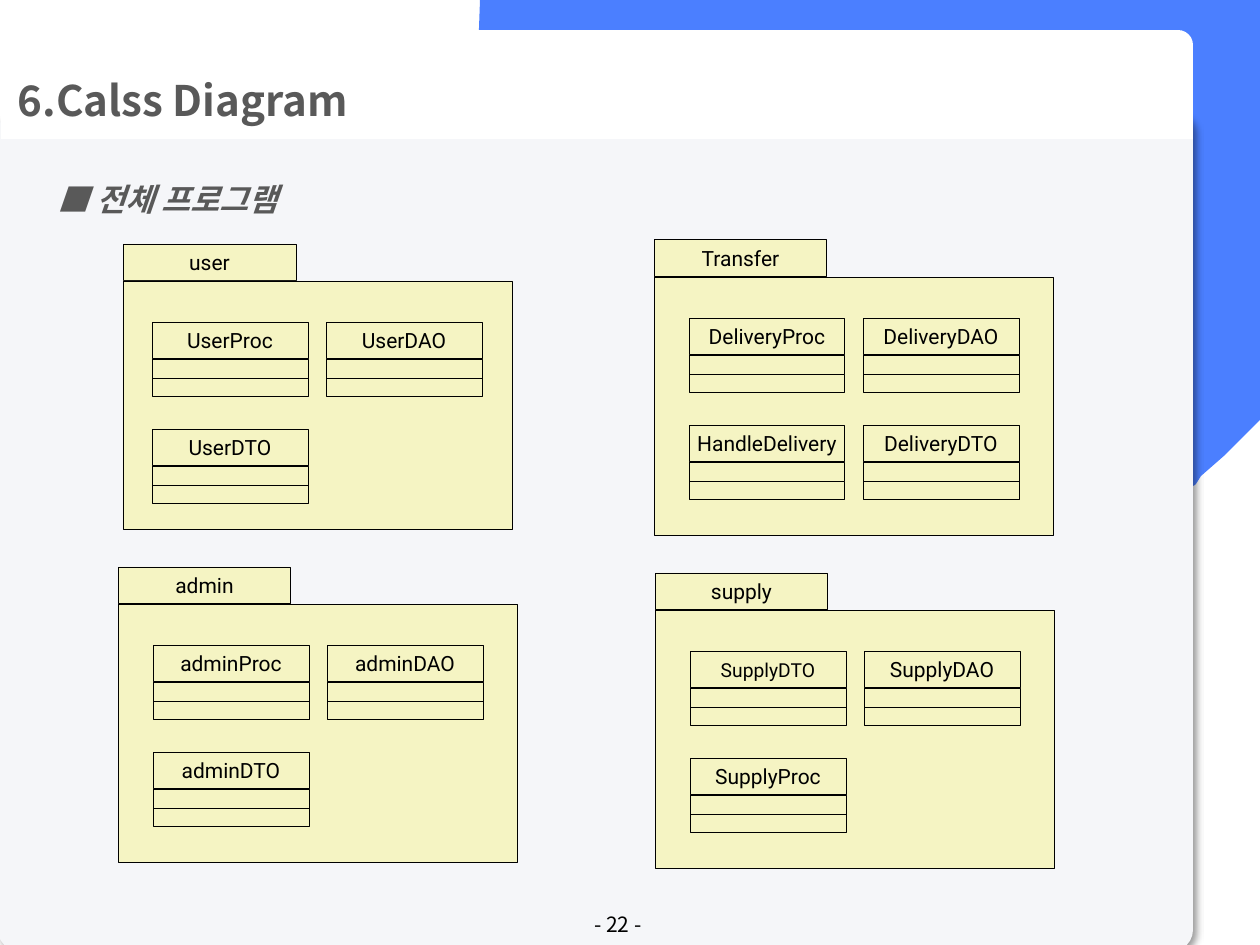
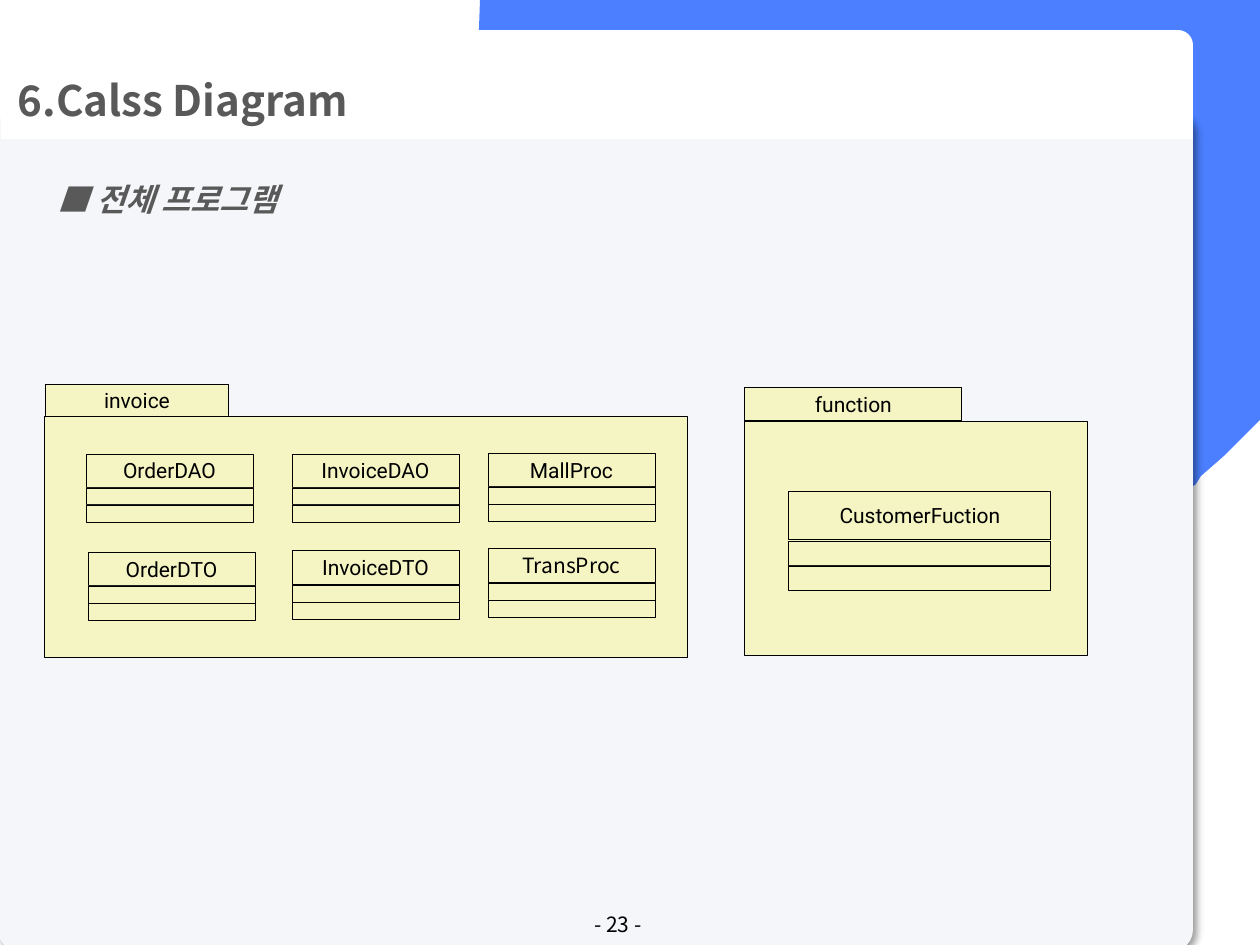
from lxml import etree
from pptx import Presentation
from pptx import util as u
from pptx.dml.color import RGBColor
from pptx.enum import shapes, text
from pptx.oxml import ns

PX = u.Inches(1) / 126
COLORS = {
    "accent": "4B7FFF",
    "panel": "F5F6F9",
    "band": "FFFFFF",
    "heading": "595959",
    "package": "F5F4C3",
    "ink": "000000",
}
SANS, UML, LATIN = "Noto Sans CJK KR", "Roboto", "Arial"
KIND = shapes.MSO_SHAPE
CENTER, LEFT = text.PP_ALIGN.CENTER, text.PP_ALIGN.LEFT
TAB_WIDTH, TAB_HEIGHT = 173, 37
SWEEP = [
    [(1260, 420)], [(1225, 455)], [(1201, 476)], [(1196, 484)],
    [(1189, 490), (1183, 497), (1177, 504)], [(810, 872)],
    [(709, 971), (552, 978), (445, 891)], [(425, 872)], [(406, 852)],
    [(319, 745), (325, 586), (425, 486)], [(615, 296)], [(572, 253)],
    [(509, 189), (479, 109), (479, 28)], [(480, 0)],
]


def emu(*lengths):
    """Turn px lengths into EMU."""
    return [round(length * PX) for length in lengths]


def rgb(name):
    """Look up a palette colour."""
    return RGBColor.from_string(COLORS[name])


def paint(shape, fill, outlined=False):
    """Give a shape a flat fill, with a thin outline if wanted."""
    shape.shadow.inherit = False
    shape.fill.solid()
    shape.fill.fore_color.rgb = rgb(fill)
    if outlined:
        shape.line.color.rgb = rgb("ink")
        shape.line.width = u.Pt(0.5)
    else:
        shape.line.fill.background()
    return shape


def write(shape, words, size, font, color="ink", align=CENTER, spacing=None,
          bold=None, italic=None):
    """Write one vertically centred paragraph into a shape."""
    frame = shape.text_frame
    frame.word_wrap = True
    frame.vertical_anchor = text.MSO_ANCHOR.MIDDLE
    paragraph = frame.paragraphs[0]
    paragraph.text = words
    paragraph.alignment = align
    if spacing:
        paragraph.line_spacing = spacing
    style = paragraph.font
    style.name, style.size, style.bold, style.italic = font, u.Pt(size), bold, italic
    style.color.rgb = rgb(color)


def bezier(start, first, second, end, steps=16):
    """List the points along a cubic curve."""
    points = []
    for step in range(1, steps + 1):
        t = step / steps
        weights = ((1 - t) ** 3, 3 * t * (1 - t) ** 2, 3 * t * t * (1 - t), t ** 3)
        corners = (start, first, second, end)
        points.append(tuple(sum(w * c[axis] for w, c in zip(weights, corners))
                            for axis in (0, 1)))
    return points


def draw_sweep(slide):
    """Draw the blue sweep behind the panel."""
    points = [(1260, 0)]
    for segment in SWEEP:
        points += segment if len(segment) == 1 else bezier(points[-1], *segment)
    builder = slide.shapes.build_freeform(*points[0], scale=PX)
    builder.add_line_segments(points[1:], close=True)
    paint(builder.convert_to_shape(), "accent")


def cast_shadow(shape):
    """Add a soft shadow to the lower right."""
    effects = shape._element.spPr.find(ns.qn("a:effectLst"))
    shadow = etree.SubElement(effects, ns.qn("a:outerShdw"), blurRad=str(u.Pt(4)),
                              dist=str(u.Pt(3)), dir=str(45 * 60000),
                              algn="tl", rotWithShape="0")
    tone = etree.SubElement(shadow, ns.qn("a:srgbClr"), val=COLORS["ink"])
    etree.SubElement(tone, ns.qn("a:alpha"), val="40000")


def draw_frame(slide, page):
    """Draw the backdrop, title band, subtitle and page number."""
    draw_sweep(slide)
    panel = slide.shapes.add_shape(KIND.ROUNDED_RECTANGLE, *emu(-2, 111, 1195, 840))
    panel.adjustments[0] = 0.025
    cast_shadow(paint(panel, "panel"))

    footer = slide.shapes.add_textbox(*emu(471, 908, 294, 33))
    write(footer, f"- {page} -", 12, SANS)

    band = slide.shapes.add_shape(KIND.ROUND_2_SAME_RECTANGLE, *emu(1, 30, 1192, 109))
    band.adjustments[0], band.adjustments[1] = 0.137, 0
    write(paint(band, "band"), "6.Calss Diagram", 24, SANS, "heading", LEFT, 1.5, True)

    subtitle = slide.shapes.add_textbox(*emu(45, 155, 271, 64))
    write(subtitle, "■ 전체 프로그램", 18, LATIN, "heading", LEFT, 1.5, True, True)
    subtitle.text_frame.word_wrap = False
    subtitle.text_frame.vertical_anchor = text.MSO_ANCHOR.TOP
    subtitle.text_frame.auto_size = text.MSO_AUTO_SIZE.SHAPE_TO_FIT_TEXT


def draw_cell(group, box, label=None, size=12, font=UML):
    """Draw one outlined box of a package, with its label if any."""
    cell = paint(group.shapes.add_shape(KIND.RECTANGLE, *emu(*box)), "package", True)
    if label:
        cell.text_frame.margin_left = cell.text_frame.margin_right = 0
        write(cell, label, size, font)


def draw_class(group, box, name, **style):
    """Draw a class: a name above two empty compartments."""
    left, top, width, height = box
    draw_cell(group, (left, top, width, 0.49 * height), name, **style)
    for part in (0.5, 0.75):
        draw_cell(group, (left, top + part * height, width, height / 4))


def draw_package(slide, name, box, tab, class_size, classes, styles=None):
    """Draw a tabbed package with classes placed from its top left corner."""
    left, top, width, height = box
    tab_width, tab_height = tab
    group = slide.shapes.add_group_shape()
    draw_cell(group, (left, top, tab_width, tab_height), name)
    draw_cell(group, (left, top + tab_height, width, height - tab_height))
    for label, (x, y) in classes.items():
        draw_class(group, (left + x, top + y, *class_size), label,
                   **(styles or {}).get(label, {}))


def grid(names, inset):
    """Place class names two to a row."""
    return {name: (inset + 174 * (i % 2), 78 + 107 * (i // 2))
            for i, name in enumerate(names)}


def draw_main_packages(slide):
    """Draw the four packages with a regular grid of classes."""
    packages = [
        ("user", (123, 244, 390, 286), 29, ["UserProc", "UserDAO", "UserDTO"]),
        ("admin", (118, 567, 400, 295), 35, ["adminProc", "adminDAO", "adminDTO"]),
        ("Transfer", (654, 240, 400, 295), 35,
         ["DeliveryProc", "DeliveryDAO", "HandleDelivery", "DeliveryDTO"]),
        ("supply", (655, 573, 400, 295), 35, ["SupplyDTO", "SupplyDAO", "SupplyProc"]),
    ]
    for name, box, inset, names in packages:
        draw_package(slide, name, box, (TAB_WIDTH, TAB_HEIGHT), (156, 75),
                     grid(names, inset), {"SupplyDTO": {"size": 11}})


def draw_order_packages(slide):
    """Draw the invoice and function packages."""
    draw_package(slide, "invoice", (45, 384, 643, 274), (184, 32), (167, 68), {
        "OrderDAO": (41, 70), "InvoiceDAO": (247, 70), "MallProc": (443, 69),
        "OrderDTO": (43, 168), "InvoiceDTO": (247, 167), "TransProc": (443, 165),
    }, {"TransProc": {"font": SANS}})
    draw_package(slide, "function", (745, 387, 343, 269), (217, 34), (262, 100),
                 {"CustomerFuction": (44, 104)})


def main():
    """Build and save the deck."""
    deck = Presentation()
    deck.slide_width, deck.slide_height = emu(1260, 945)
    for page, draw_content in enumerate((draw_main_packages, draw_order_packages), 22):
        slide = deck.slides.add_slide(deck.slide_layouts[6])
        draw_frame(slide, page)
        draw_content(slide)
    deck.save("out.pptx")


if __name__ == "__main__":
    main()
